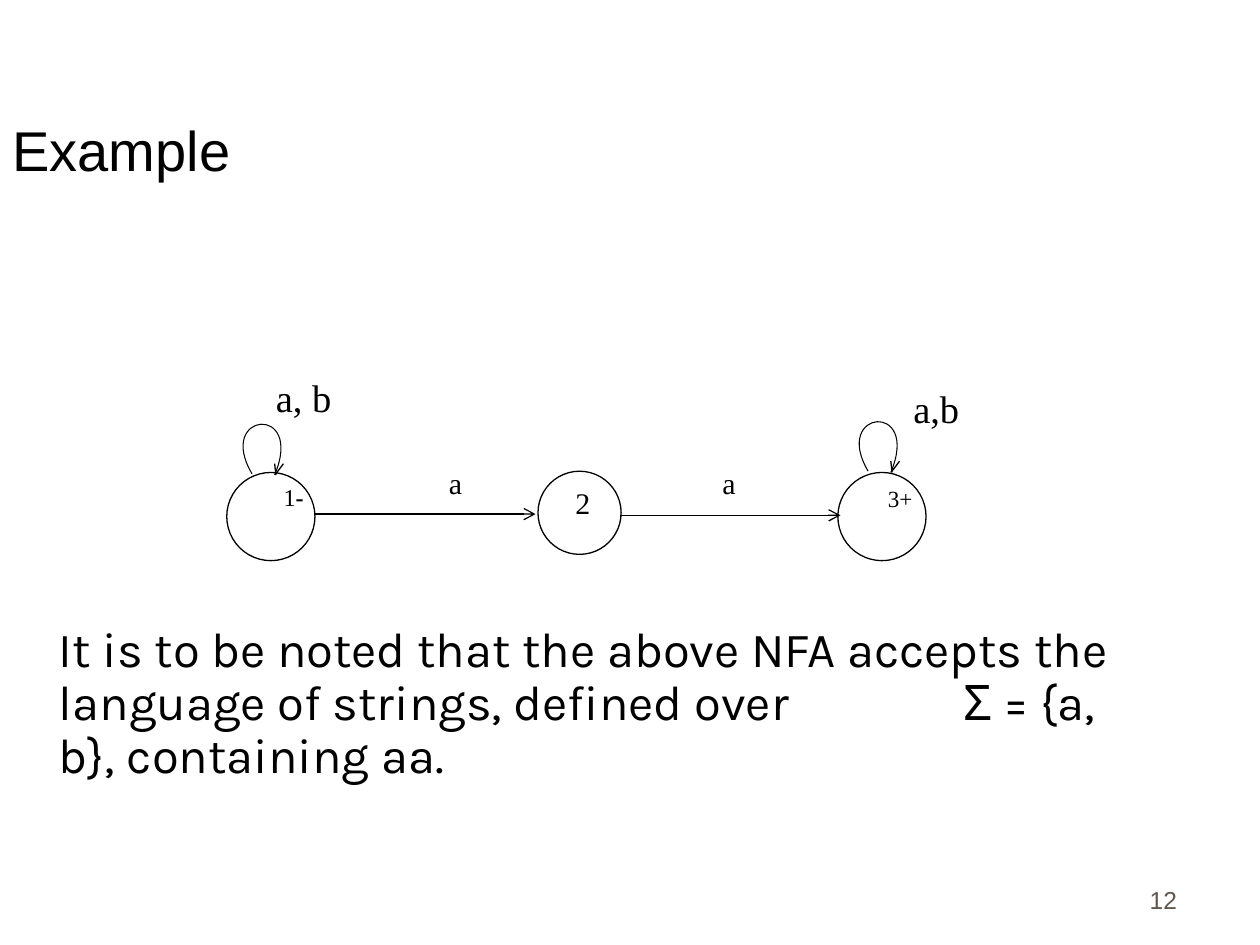
"""Build the slide with a three-state NFA that accepts strings containing aa."""
import dataclasses
import typing

import pptx
import pptx.dml.color
import pptx.enum.shapes
import pptx.enum.text
import pptx.oxml
import pptx.oxml.ns
import pptx.util

Inches = pptx.util.Inches
Align = pptx.enum.text.PP_ALIGN
Anchor = pptx.enum.text.MSO_ANCHOR
Points = tuple[tuple[float, float], ...]


@dataclasses.dataclass(frozen=True)
class Theme:
    ink: str = "000000"
    paper: str = "FFFFFF"
    muted: str = "5E574E"
    heading_font: str = "Arial"
    body_font: str = "Karla"
    diagram_font: str = "Times New Roman"
    title_size: float = 32
    body_size: float = 28
    loop_size: float = 22
    symbol_size: float = 17.1
    start_size: float = 13.8
    final_size: float = 13.2
    number_size: float = 14
    line_width: float = 0.75
    loop_width: float = 0.6


THEME = Theme()


@dataclasses.dataclass(frozen=True)
class Label:
    text: str
    left: float
    top: float
    width: float
    height: float
    size: float
    font: str = THEME.diagram_font
    color: str = THEME.ink
    align: Align = Align.CENTER
    anchor: Anchor = Anchor.TOP
    spacing: float = 1.0
    bold_suffix: str = ""
    tab_stop: float = 0


@dataclasses.dataclass(frozen=True)
class State:
    left: float
    top: float
    diameter: float


@dataclasses.dataclass(frozen=True)
class Transition:
    start: float
    end: float
    y: float


@dataclasses.dataclass(frozen=True)
class Loop:
    x: float
    y: float


STATES = (State(1.8, 3.75, 0.7), State(4.27, 3.74, 0.66), State(6.65, 3.75, 0.7))
TRANSITIONS = (Transition(2.5, 4.25, 4.08), Transition(4.92, 6.67, 4.09))
LOOPS = (Loop(2, 3.76), Loop(6.89, 3.74))
LOOP_CURVE = ((0, 0), (-0.29, -0.49), (0.42, -0.56), (0.18, 0.01))
LOOP_BARBS = (((0.19, 0), (0.25, -0.08)), ((0.18, -0.08), (0.19, 0.01)))

LABELS = (
    Label("Example", 0, 0.25, 8.5, 1.25, THEME.title_size, THEME.heading_font,
          align=Align.LEFT, anchor=Anchor.BOTTOM),
    Label("a, b", 1.92, 2.92, 0.98, 0.67, THEME.loop_size),
    Label("a,b", 6.94, 3.01, 0.98, 0.67, THEME.loop_size),
    Label("a", 3.41, 3.69, 0.41, 0.4, THEME.symbol_size, spacing=0.8),
    Label("a", 5.58, 3.69, 0.41, 0.4, THEME.symbol_size, spacing=0.8),
    Label("1", 1.91, 3.82, 0.84, 0.35, THEME.start_size, spacing=0.8, bold_suffix="-"),
    Label("2", 4.42, 3.85, 0.41, 0.4, THEME.symbol_size, spacing=0.8),
    Label("3+", 6.76, 3.84, 0.77, 0.33, THEME.final_size, spacing=0.8),
    Label("It is to be noted that the above NFA accepts the language of strings, "
          "defined over\tΣ = {a, b}, containing aa.",
          0.37, 4.91, 8.57, 1.4, THEME.body_size, THEME.body_font,
          align=Align.LEFT, spacing=0.9, tab_stop=7.18),
    Label("12", 7.36, 6.81, 2.08, 0.5, THEME.number_size, THEME.heading_font,
          THEME.muted, Align.RIGHT, Anchor.BOTTOM),
)


def apply_format(target: typing.Any, values: dict[str, typing.Any]) -> None:
    """Set each named attribute on the target."""
    for name, value in values.items():
        setattr(target, name, value)


def rgb(value: str) -> pptx.dml.color.RGBColor:
    """Return the colour for a hex string."""
    return pptx.dml.color.RGBColor.from_string(value)


def drawing_element(content: str) -> typing.Any:
    """Return a drawing element for a tag with its attributes."""
    return pptx.oxml.parse_xml(f'<a:{content} {pptx.oxml.ns.nsdecls("a")}/>')


def set_line(shape: typing.Any, width: float) -> None:
    """Give a shape the ink outline."""
    shape.line.color.rgb = rgb(THEME.ink)
    shape.line.width = pptx.util.Pt(width)


def add_label(slide: typing.Any, label: Label) -> None:
    """Draw one text box."""
    bounds = map(Inches, (label.left, label.top, label.width, label.height))
    frame = slide.shapes.add_textbox(*bounds).text_frame
    apply_format(frame, {"word_wrap": True, "vertical_anchor": label.anchor})
    paragraph = frame.paragraphs[0]
    apply_format(paragraph, {"alignment": label.align, "line_spacing": label.spacing})
    if label.tab_stop:
        tabs = drawing_element("tabLst")
        tabs.append(drawing_element(f'tab pos="{Inches(label.tab_stop)}" algn="l"'))
        paragraph._p.get_or_add_pPr().append(tabs)
    for text, bold in ((label.text, False), (label.bold_suffix, True)):
        if text:
            run = paragraph.add_run()
            run.text = text
            apply_format(run.font, {"name": label.font, "bold": bold,
                                    "size": pptx.util.Pt(label.size)})
            run.font.color.rgb = rgb(label.color)


def add_state(slide: typing.Any, state: State) -> None:
    """Draw one state circle."""
    bounds = map(Inches, (state.left, state.top, state.diameter, state.diameter))
    circle = slide.shapes.add_shape(pptx.enum.shapes.MSO_SHAPE.OVAL, *bounds)
    circle.shadow.inherit = False
    circle.fill.solid()
    circle.fill.fore_color.rgb = rgb(THEME.paper)
    set_line(circle, THEME.line_width)


def add_transition(slide: typing.Any, transition: Transition) -> None:
    """Draw one arrow between states."""
    ends = map(Inches, (transition.start, transition.y, transition.end, transition.y))
    arrow = slide.shapes.add_connector(pptx.enum.shapes.MSO_CONNECTOR.STRAIGHT, *ends)
    set_line(arrow, THEME.line_width)
    properties = arrow.element.spPr
    properties.find(pptx.oxml.ns.qn("a:ln")).append(drawing_element('tailEnd type="arrow"'))
    properties.append(drawing_element("effectLst"))


def add_stroke(slide: typing.Any, loop: Loop, offsets: Points, width: float) -> typing.Any:
    """Draw an open outline through points given relative to a loop."""
    points = [(Inches(loop.x + x), Inches(loop.y + y)) for x, y in offsets]
    builder = slide.shapes.build_freeform(*points[0])
    builder.add_line_segments(points[1:], close=False)
    stroke = builder.convert_to_shape()
    stroke.shadow.inherit = False
    stroke.fill.background()
    set_line(stroke, width)
    return stroke


def add_loop(slide: typing.Any, loop: Loop) -> None:
    """Draw one self-transition, a cubic curve with two barbs."""
    curve = add_stroke(slide, loop, LOOP_CURVE, THEME.loop_width)
    segments = list(curve.element.iter(pptx.oxml.ns.qn("a:lnTo")))
    bezier = drawing_element("cubicBezTo")
    segments[0].addprevious(bezier)
    for segment in segments:
        bezier.append(segment[0])
        segment.getparent().remove(segment)
    for barb in LOOP_BARBS:
        add_stroke(slide, loop, barb, THEME.line_width)


def main() -> None:
    """Build and save the presentation."""
    presentation = pptx.Presentation()
    apply_format(presentation, {"slide_width": Inches(10), "slide_height": Inches(7.5)})
    slide = presentation.slides.add_slide(presentation.slide_layouts[6])
    for draw, items in ((add_state, STATES), (add_loop, LOOPS),
                        (add_transition, TRANSITIONS), (add_label, LABELS)):
        for item in items:
            draw(slide, item)
    presentation.save("out.pptx")


if __name__ == "__main__":
    main()
